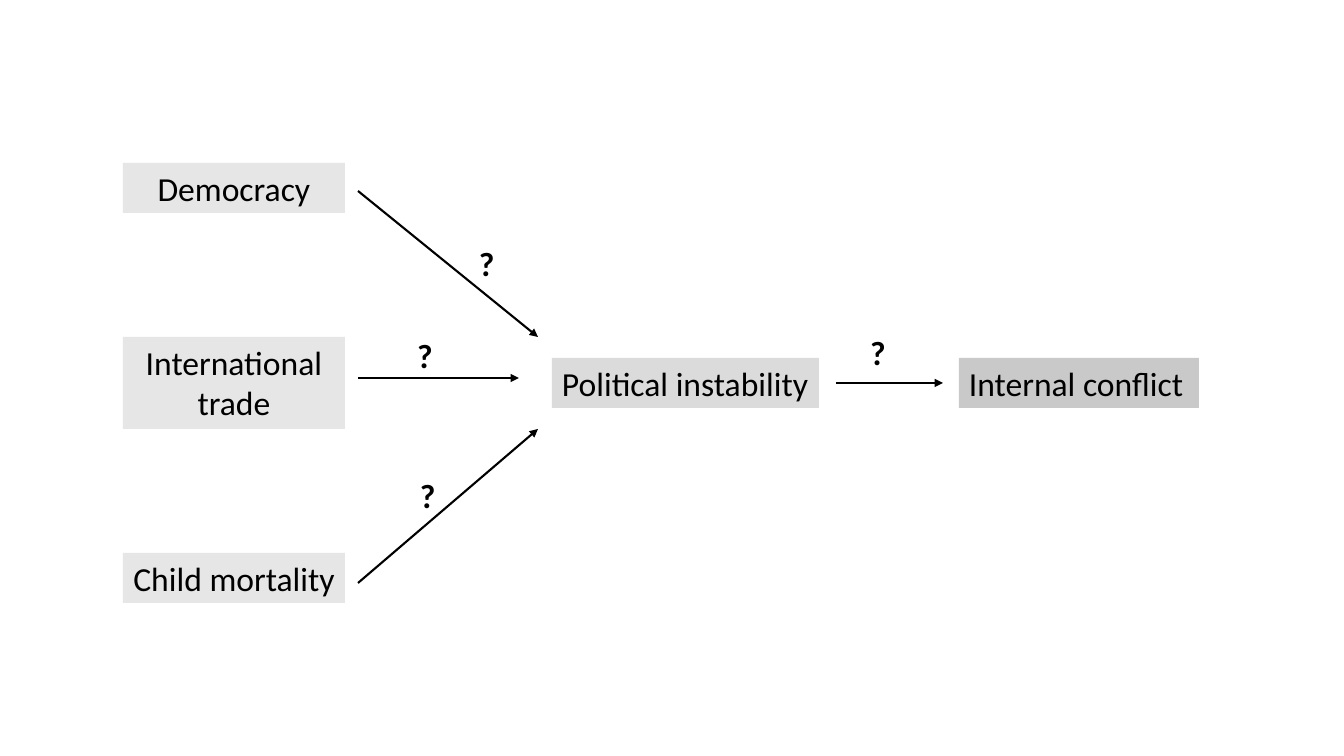
from lxml import etree
from pptx import Presentation, util as u
from pptx.dml.color import RGBColor
from pptx.enum import shapes, text
from pptx.oxml.ns import qn

PX = u.Inches(1) / 100.8
LEFT, CENTER = text.PP_ALIGN.LEFT, text.PP_ALIGN.CENTER


def px(*lengths):
    """Turn pixel lengths into EMU."""
    return [round(length * PX) for length in lengths]


def write(shape, wording, align=LEFT, bold=False):
    """Put one black Calibri run into a shape."""
    frame = shape.text_frame
    frame.word_wrap = True
    frame.vertical_anchor = text.MSO_ANCHOR.TOP
    # Tight side insets keep the longest labels on one line
    frame.margin_left, frame.margin_right = px(5, 5) if align == CENTER else px(10, 0)
    frame.paragraphs[0].alignment = align
    run = frame.paragraphs[0].add_run()
    run.text = wording
    run.font.name, run.font.size, run.font.bold = "Calibri", u.Pt(24), bold
    run.font.color.rgb = RGBColor.from_string("000000")


prs = Presentation()
prs.slide_width, prs.slide_height = px(1344, 756)
slide = prs.slides.add_slide(prs.slide_layouts[6])

CAUSE, MEDIATOR, OUTCOME = "E7E6E6", "DBDBDB", "C9C9C9"
factors = [
    ("Internal conflict", 959, 358, 240, 50, OUTCOME, LEFT),
    ("Political instability", 552, 358, 267, 50, MEDIATOR, LEFT),
    ("International trade", 123, 337, 222, 92, CAUSE, CENTER),
    ("Democracy", 123, 163, 222, 50, CAUSE, CENTER),
    ("Child mortality", 123, 553, 222, 50, CAUSE, CENTER),
]
for wording, x, y, width, height, color, align in factors:
    factor = slide.shapes.add_shape(
        shapes.MSO_SHAPE.RECTANGLE, *px(x, y, width, height))
    factor.shadow.inherit = False
    factor.fill.solid()
    factor.fill.fore_color.rgb = RGBColor.from_string(color)
    factor.line.fill.background()
    write(factor, wording, align)

# Each effect: arrow start, arrow end, corner of its question mark
effects = [
    ((358, 191), (538, 337), (469, 238)),
    ((358, 378), (519, 378), (407, 330)),
    ((358, 583), (538, 429), (410, 470)),
    ((836, 383), (943, 383), (860, 327)),
]
for start, end, corner in effects:
    arrow = slide.shapes.add_connector(
        shapes.MSO_CONNECTOR.STRAIGHT, *px(*start, *end))
    arrow.line.color.rgb = RGBColor.from_string("000000")
    arrow.line.width = u.Pt(1.5)
    etree.SubElement(arrow.line._get_or_add_ln(), qn("a:tailEnd"), type="triangle")
    etree.SubElement(arrow._element.spPr, qn("a:effectLst"))
    question = slide.shapes.add_textbox(*px(*corner, 84, 50))
    write(question, "?", bold=True)

prs.save("out.pptx")
